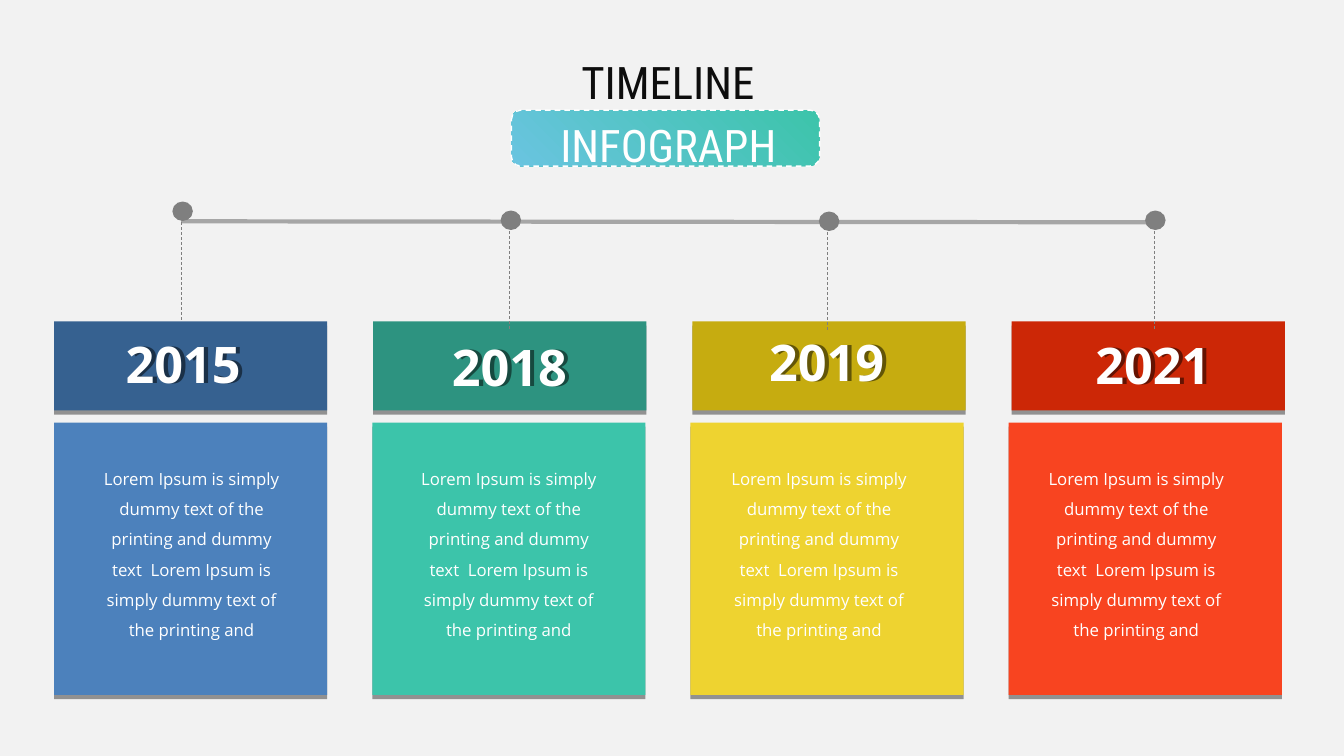
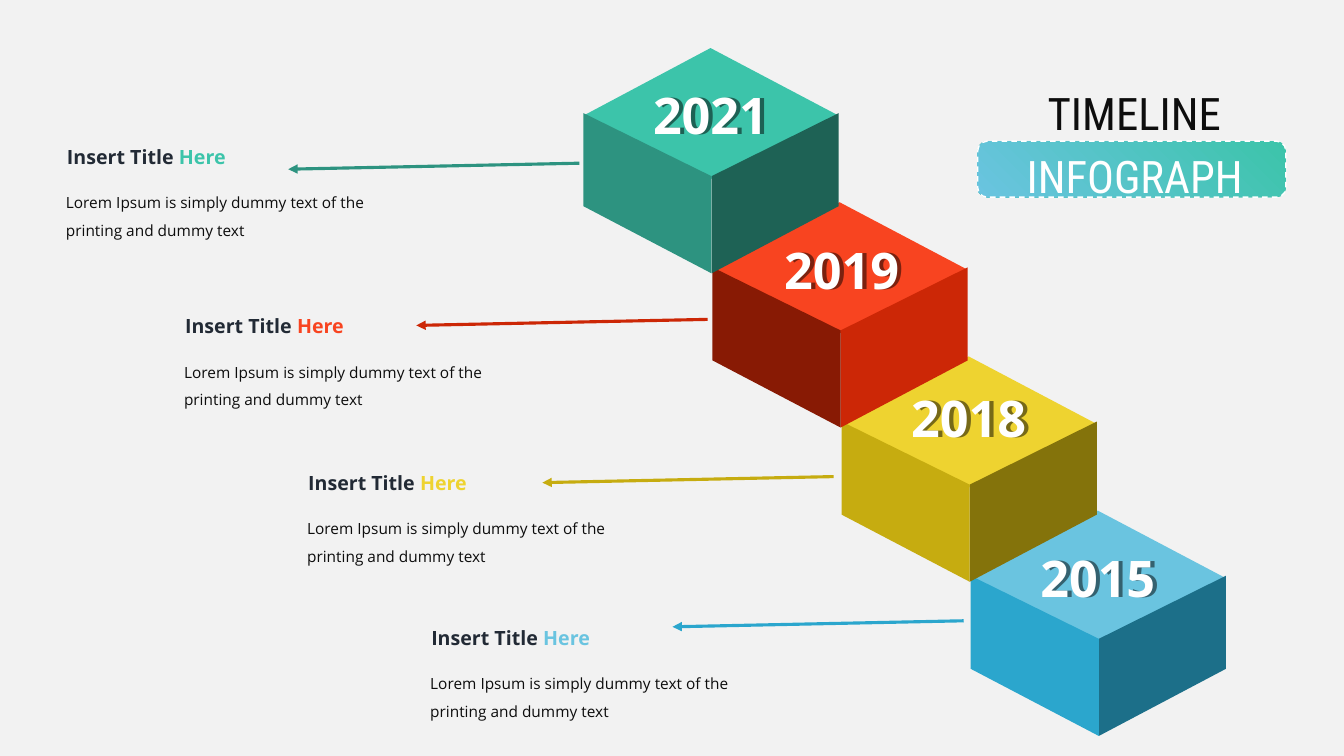
from lxml.etree import SubElement
from pptx import Presentation
from pptx.dml.color import RGBColor
from pptx.enum.dml import MSO_LINE
from pptx.enum.shapes import MSO_CONNECTOR, MSO_SHAPE
from pptx.enum.text import MSO_ANCHOR, MSO_AUTO_SIZE, PP_ALIGN
from pptx.oxml.ns import qn
from pptx.util import Pt

PX = 9080
LINE = MSO_CONNECTOR.STRAIGHT
RECT, ROUND, OVAL = MSO_SHAPE.RECTANGLE, MSO_SHAPE.ROUNDED_RECTANGLE, MSO_SHAPE.OVAL
DASH = MSO_LINE.DASH
TOP, FIXED = MSO_ANCHOR.TOP, MSO_AUTO_SIZE.NONE
LEFT, MID = PP_ALIGN.LEFT, PP_ALIGN.CENTER
SANS, SLIM = "Open Sans", "Roboto Condensed"

PAPER = RGBColor(0xF2, 0xF2, 0xF2)
WHITE = RGBColor(0xFF, 0xFF, 0xFF)
INK = RGBColor(0x0D, 0x0D, 0x0D)
SLATE = RGBColor(0x22, 0x2A, 0x35)
GREY = RGBColor(0x7F, 0x7F, 0x7F)
SILVER = RGBColor(0xA6, 0xA6, 0xA6)
BLUE = RGBColor(0x4C, 0x81, 0xBC)
NAVY = RGBColor(0x36, 0x61, 0x90)
TEAL = RGBColor(0x3C, 0xC4, 0xAA)
JADE = RGBColor(0x2D, 0x93, 0x80)
PINE = RGBColor(0x1E, 0x62, 0x55)
YELLOW = RGBColor(0xEE, 0xD3, 0x30)
GOLD = RGBColor(0xC6, 0xAC, 0x10)
OLIVE = RGBColor(0x84, 0x73, 0x0B)
RED = RGBColor(0xF8, 0x44, 0x20)
BRICK = RGBColor(0xCC, 0x27, 0x06)
WINE = RGBColor(0x88, 0x1A, 0x04)
SKY = RGBColor(0x6A, 0xC4, 0xE0)
AZURE = RGBColor(0x2B, 0xA6, 0xCD)
DEEP = RGBColor(0x1C, 0x6F, 0x89)

SHORT = "Lorem Ipsum is simply dummy text of the printing and dummy text"
LONG = SHORT + "  Lorem Ipsum is simply dummy text of the printing and"


def shade(shape, dist=0, turn=0, alpha=40):
    effect = SubElement(shape.element.spPr, qn("a:effectLst"))
    if dist:
        cast = SubElement(effect, qn("a:outerShdw"), blurRad="0",
                          dist=str(Pt(dist)), dir=str(turn * 60000),
                          algn="t", rotWithShape="0")
        black = SubElement(cast, qn("a:srgbClr"), val="000000")
        SubElement(black, qn("a:alpha"), val=str(alpha * 1000))


def write(shape, text, size, color, font=SANS, align=MID, bold=False, space=1.0, wrap=True):
    frame = shape.text_frame
    frame.text = text
    frame.word_wrap = wrap
    frame.auto_size = FIXED
    frame.vertical_anchor = TOP
    frame.margin_top = frame.margin_bottom = 5 * PX
    para = frame.paragraphs[0]
    para.alignment = align
    para.line_spacing = space
    run = para.runs[0]
    run.font.size = Pt(size)
    run.font.name = font
    run.font.bold = bold
    run.font.color.rgb = color
    return para


prs = Presentation()
prs.slide_width, prs.slide_height = 1343 * PX, 755 * PX
back = prs.slide_master.background.fill
back.solid()
back.fore_color.rgb = PAPER

pages = []
for left, top in [(511, 110), (977, 141)]:
    page = prs.slides.add_slide(prs.slide_layouts[5])
    title = page.shapes.title
    title.left, title.top = (left - 96) * PX, (top - 60) * PX
    title.width, title.height = 505 * PX, 63 * PX
    write(title, "TIMELINE", 32, INK, SLIM)
    badge = page.shapes.add_shape(ROUND, left * PX, top * PX, 308 * PX, 56 * PX)
    badge.adjustments[0] = 0.17
    badge.fill.gradient()
    badge.fill.gradient_angle = 225
    for stop, color, place in zip(badge.fill.gradient_stops, (TEAL, SKY), (0, 1)):
        stop.color.rgb = color
        stop.position = place
    badge.line.color.rgb = WHITE
    badge.line.width = Pt(1)
    badge.line.dash_style = DASH
    badge.shadow.inherit = False
    write(badge, "INFOGRAPH", 32, WHITE, SLIM)
    badge.text_frame.margin_left, badge.text_frame.margin_right = 6 * PX, 0
    pages.append(page.shapes)

cards, stairs = pages

axis = cards.add_connector(LINE, 181 * PX, 221 * PX, 1147 * PX, 222 * PX)
axis.line.color.rgb = SILVER
axis.line.width = Pt(3)
shade(axis)

steps = [
    ("2015", NAVY, BLUE, (181, 202), (90, 328), 92),
    ("2018", JADE, TEAL, (509, 211), (416, 331), 409),
    ("2019", GOLD, YELLOW, (827, 212), (733, 326), 719),
    ("2021", BRICK, RED, (1153, 211), (1059, 329), 1036),
]
for i, (year, dark, light, pin, spot, edge) in enumerate(steps):
    for left, top, high, color in [(54 + 319 * i, 321, 89, dark),
                                   (54 + 318 * i, 422, 272, light)]:
        card = cards.add_shape(RECT, left * PX, top * PX, 273 * PX, high * PX)
        card.fill.solid()
        card.fill.fore_color.rgb = color
        card.line.fill.background()
        shade(card, 3, 90)

    x, y = pin
    stem = cards.add_connector(LINE, x * PX, y * PX, x * PX, (y + 119) * PX)
    stem.line.color.rgb = GREY
    stem.line.width = Pt(0.5)
    stem.line.dash_style = DASH
    shade(stem)
    dot = cards.add_shape(OVAL, (x - 8) * PX, y * PX, 19 * PX, 18 * PX)
    dot.fill.solid()
    dot.fill.fore_color.rgb = GREY
    dot.line.color.rgb = GREY
    dot.line.width = Pt(1)
    dot.shadow.inherit = False

    label = cards.add_textbox(spot[0] * PX, spot[1] * PX, 186 * PX, 70 * PX)
    write(label, year, 36, WHITE, bold=True)
    shade(label, 3, 0, 50)
    body = cards.add_textbox(edge * PX, 453 * PX, 199 * PX, 191 * PX)
    write(body, LONG, 12, WHITE, space=1.5)

ROOF = [(0, 0), (127, 67), (0, 131), (-126, 67)]
WEST = [(-127, 65), (1, 128), (1, 225), (-127, 158)]
EAST = [(128, 65), (128, 158), (1, 225), (1, 128)]

cubes = [
    ("2021", TEAL, JADE, PINE, JADE, (617, 79), (579, 163), (57, 140)),
    ("2019", RED, WINE, BRICK, BRICK, (748, 234), (707, 319), (175, 309)),
    ("2018", YELLOW, GOLD, OLIVE, GOLD, (875, 382), (833, 476), (298, 465)),
    ("2015", SKY, AZURE, DEEP, AZURE, (1004, 541), (963, 620), (421, 620)),
]
for i, (year, roof, west, east, tone, spot, start, note) in reversed(list(enumerate(cubes))):
    x, y = 710 + 129 * i, 48 + 154 * i
    for shape, color in [(ROOF, roof), (EAST, east), (WEST, west)]:
        points = [(x + dx, y + dy) for dx, dy in shape]
        path = stairs.build_freeform(*points[0], scale=PX)
        path.add_line_segments(points[1:], close=True)
        face = path.convert_to_shape()
        face.fill.solid()
        face.fill.fore_color.rgb = color
        face.line.fill.background()
        face.shadow.inherit = False

    x, y = start
    arrow = stairs.add_connector(LINE, x * PX, y * PX, (x - 291) * PX, (y + 6) * PX)
    arrow.line.color.rgb = tone
    arrow.line.width = Pt(2.25)
    SubElement(arrow.line._get_or_add_ln(), qn("a:tailEnd"), type="triangle")
    shade(arrow)

    label = stairs.add_textbox(spot[0] * PX, spot[1] * PX, 186 * PX, 70 * PX)
    write(label, year, 36, WHITE, bold=True)
    shade(label, 3, 0, 50)

    x, y = note
    head = stairs.add_textbox(x * PX, y * PX, 179 * PX, 34 * PX)
    para = write(head, "Insert Title ", 14, SLATE, align=LEFT, bold=True, wrap=False)
    here = para.add_run()
    here.text = "Here"
    here.font.size = Pt(14)
    here.font.name = SANS
    here.font.bold = True
    here.font.color.rgb = roof
    body = stairs.add_textbox((x - 1) * PX, (y + 39) * PX, 329 * PX, 65 * PX)
    write(body, SHORT, 11, INK, align=LEFT, space=1.5)

prs.save("out.pptx")
